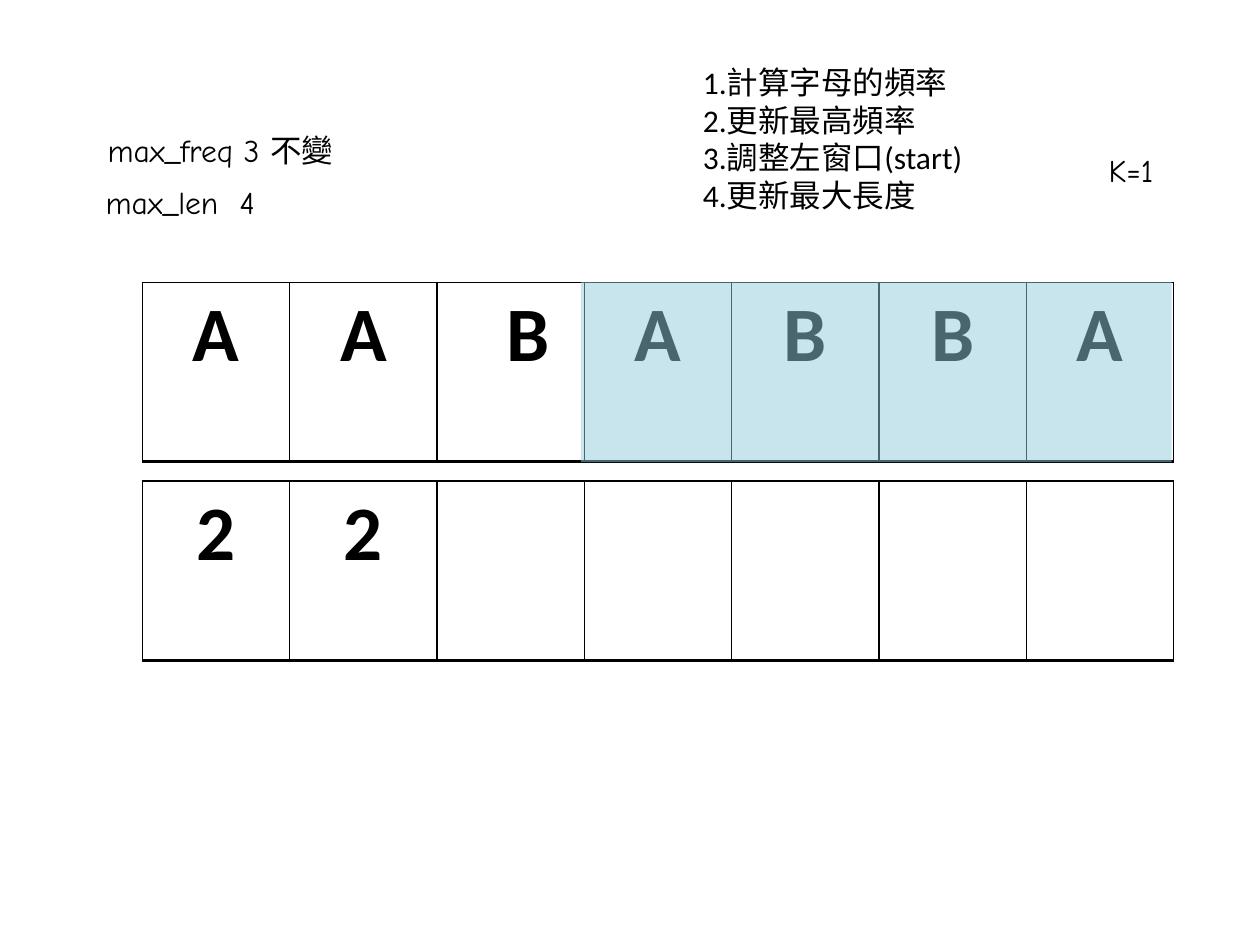
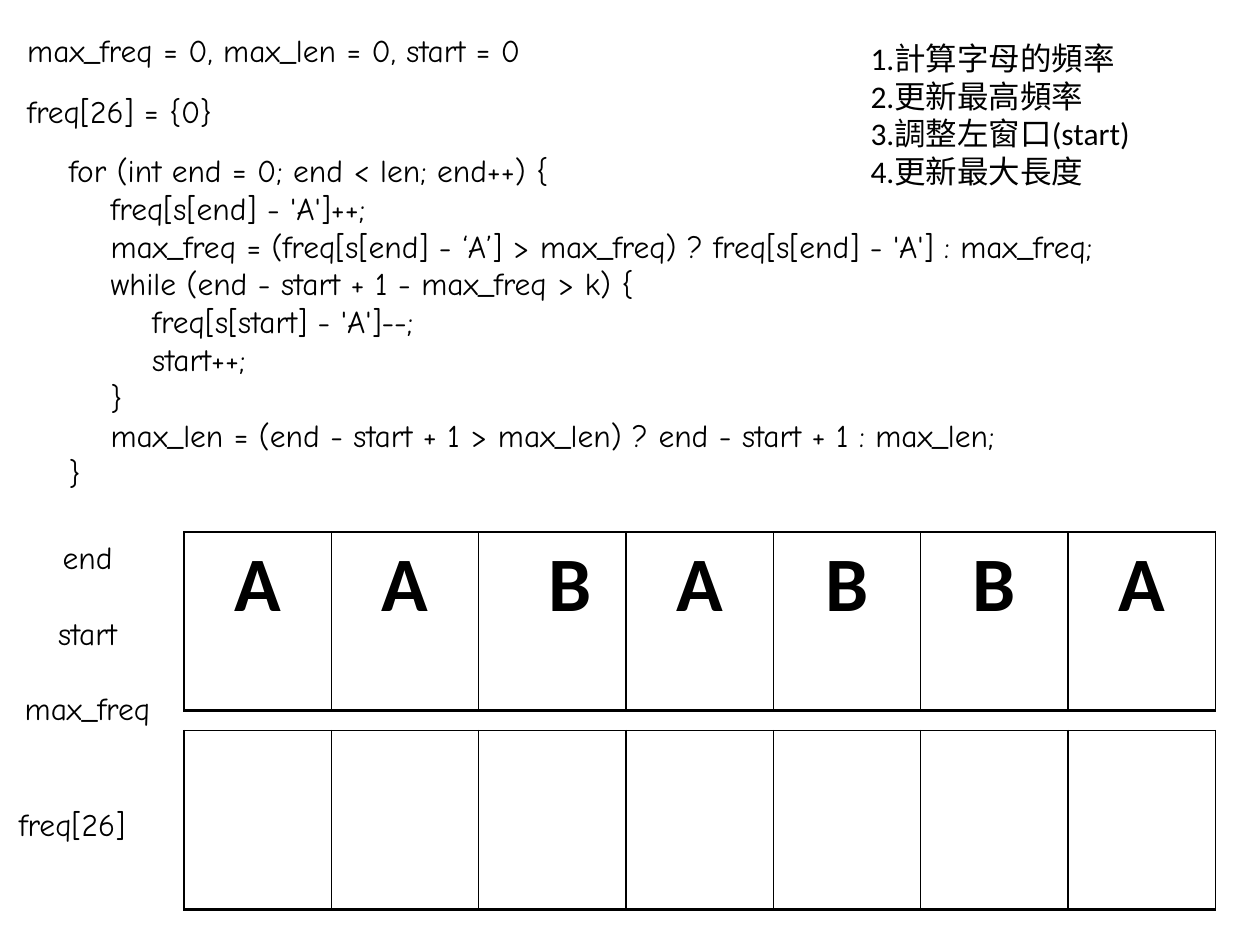
from dataclasses import dataclass

from lxml.etree import SubElement
from pptx import Presentation
from pptx.dml.color import RGBColor
from pptx.enum.shapes import MSO_SHAPE
from pptx.enum.text import MSO_AUTO_SIZE, PP_ALIGN
from pptx.oxml.ns import qn
from pptx.util import Cm, Pt

BLACK = "000000"
WINDOW_BLUE = "93CDDD"
CODE_FONT = "Comic Neue"
BODY_FONT = "Calibri"
LETTERS = "AABABBA"
CELL_WIDTH, CELL_HEIGHT = 2.97, 3.61
ROW_PITCH = 4.01
CODE_INDENT = 0.84
BORDERS = {"a:lnL": 1, "a:lnR": 1, "a:lnT": 1, "a:lnB": 2}
STEPS = ("1.計算字母的頻率", "2.更新最高頻率", "3.調整左窗口(start)", "4.更新最大長度")


@dataclass(frozen=True)
class Line:
    """One line of text, with its indent level and optional tab stop in cm."""
    text: str
    level: int = 0
    tab: float = 0


@dataclass(frozen=True)
class Area:
    """A rectangle on the page, in cm."""
    left: float
    top: float
    width: float
    height: float

    def lengths(self):
        """Return the four lengths in the order python-pptx takes them."""
        return tuple(Cm(value) for value in
                     (self.left, self.top, self.width, self.height))


CODE = (
    Line("for (int end = 0; end < len; end++) {", 1),
    Line("freq[s[end] - 'A']++;", 2),
    Line("max_freq = (freq[s[end] - ‘A’] > max_freq) ? "
         "freq[s[end] - 'A'] : max_freq;", 2),
    Line("while (end - start + 1 - max_freq > k) {", 2),
    Line("freq[s[start] - 'A']--;", 3),
    Line("start++;", 3),
    Line("}", 2),
    Line("max_len = (end - start + 1 > max_len) ? "
         "end - start + 1 : max_len;", 2),
    Line("}", 1),
)


def color(value: str) -> RGBColor:
    """Turn a hex string into a colour."""
    return RGBColor.from_string(value)


def write(para, text: str, *, font: str = CODE_FONT, size: float = 18,
          bold: bool = False, align=PP_ALIGN.LEFT) -> None:
    """Put one formatted span into a paragraph."""
    para.alignment = align
    span = para.add_run()
    span.text = text
    span.font.name, span.font.size, span.font.bold = font, Pt(size), bold
    span.font.color.rgb = color(BLACK)


def add_text(page, area: Area, *lines, gap: float = 0, **style) -> None:
    """Add a text box with one paragraph a line; gap is points between them."""
    box = page.shapes.add_textbox(*area.lengths())
    frame = box.text_frame
    frame.word_wrap = True
    frame.auto_size = MSO_AUTO_SIZE.SHAPE_TO_FIT_TEXT
    for index, line in enumerate(lines):
        line = Line(line) if isinstance(line, str) else line
        para = frame.add_paragraph() if index else frame.paragraphs[0]
        if index and gap:
            para.space_before = Pt(gap)
        write(para, line.text, **style)
        properties = para._p.get_or_add_pPr()
        if line.level:
            properties.set("marL", str(Cm(CODE_INDENT * line.level)))
        if line.tab:
            stops = SubElement(properties, qn("a:tabLst"))
            SubElement(stops, qn("a:tab"), pos=str(Cm(line.tab)), algn="l")


def add_borders(cell) -> None:
    """Draw the black edges of a table cell."""
    properties = cell._tc.get_or_add_tcPr()
    for tag, width in BORDERS.items():
        edge = SubElement(properties, qn(tag), w=str(Pt(width)))
        fill = SubElement(edge, qn("a:solidFill"))
        SubElement(fill, qn("a:srgbClr"), val=BLACK)


def add_array(page, left: float, top: float, values: str) -> None:
    """Add a row of seven cells, filled from the left with the values."""
    count = len(LETTERS)
    area = Area(left, top, CELL_WIDTH * count, CELL_HEIGHT)
    table = page.shapes.add_table(1, count, *area.lengths()).table
    table.first_row = table.horz_banding = False
    for column in table.columns:
        column.width = Cm(CELL_WIDTH)
    for index, cell in enumerate(table.rows[0].cells):
        add_borders(cell)
        cell.fill.background()
        if index < len(values):
            write(cell.text_frame.paragraphs[0], values[index],
                  font=BODY_FONT, size=44, bold=True, align=PP_ALIGN.CENTER)
    if values == LETTERS:
        table.cell(0, 2).margin_left = Cm(0.95)  # third letter sits to the right


def add_arrays(page, left: float, top: float, counts: str = "") -> None:
    """Add the letters and, below them, the counts."""
    for index, values in enumerate((LETTERS, counts)):
        add_array(page, left, top + index * ROW_PITCH, values)


def add_steps(page, left: float, top: float) -> None:
    """Add the four steps of the algorithm."""
    add_text(page, Area(left, top, 5.79, 3.33), *STEPS, font=BODY_FONT)


def add_window(page, area: Area) -> None:
    """Cover the current window with a half transparent band."""
    band = page.shapes.add_shape(MSO_SHAPE.RECTANGLE, *area.lengths())
    band.shadow.inherit = False
    band.fill.solid()
    band.fill.fore_color.rgb = color(WINDOW_BLUE)
    band.line.fill.background()
    tint = band._element.spPr.find(qn("a:solidFill"))[0]
    SubElement(tint, qn("a:alpha"), val="50000")


def build_window_page(page) -> None:
    """Build the page that shows the window over the last four letters."""
    add_arrays(page, 2.87, 5.69, "22")
    add_window(page, Area(11.71, 5.69, 11.91, 3.63))
    add_text(page, Area(1.7, 2.51, 5.49, 1.02), "max_freq 3 不變",
             align=PP_ALIGN.CENTER)
    add_text(page, Area(1.88, 3.56, 3.94, 1.8), Line("max_len\t4", tab=2.7))
    add_text(page, Area(22.1, 2.92, 1.52, 1.02), "K=1")
    add_steps(page, 13.92, 1.14)


def build_code_page(page) -> None:
    """Build the page with the code and its empty counts."""
    add_arrays(page, 3.71, 10.72)
    add_text(page, Area(0.3, 0.51, 11.51, 1.02),
             "max_freq = 0, max_len = 0, start = 0")
    add_text(page, Area(0.3, 1.73, 4.67, 1.02), "freq[26] = {0}")
    add_text(page, Area(0.3, 2.92, 24.79, 7.19), *CODE)
    add_text(page, Area(0.13, 16.1, 3.28, 1.02), "freq[26]")
    add_text(page, Area(0.05, 10.72, 3.43, 4.88), "end", "start", "max_freq",
             gap=21.6, align=PP_ALIGN.CENTER)
    add_steps(page, 17.3, 0.66)


def main() -> None:
    """Build and save the deck."""
    deck = Presentation()
    deck.slide_width, deck.slide_height = Cm(25.4), Cm(19.05)
    for build in (build_window_page, build_code_page):
        build(deck.slides.add_slide(deck.slide_layouts[6]))
    deck.save("out.pptx")


main()
